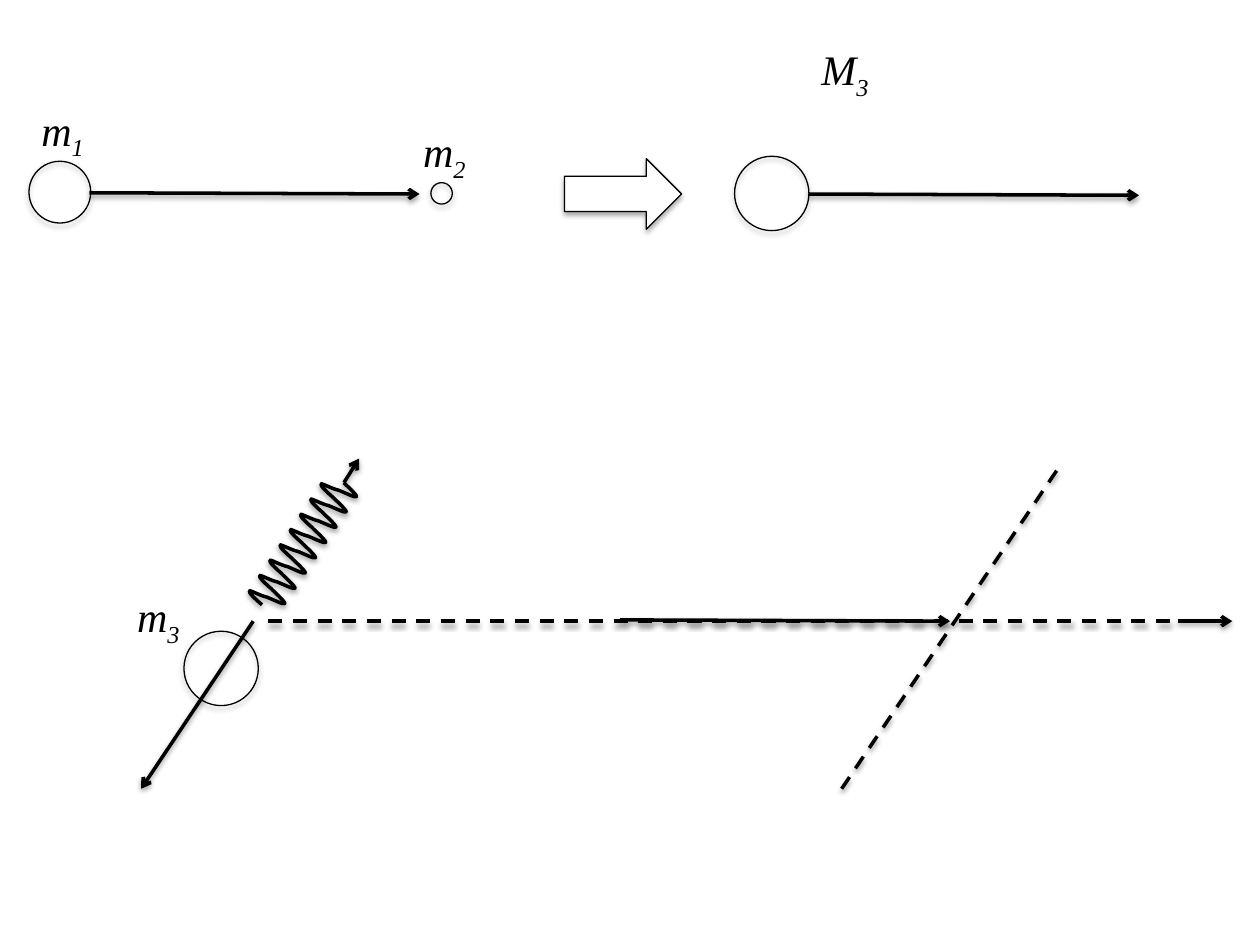
from lxml import etree
from pptx import Presentation
from pptx.dml.color import RGBColor
from pptx.enum.dml import MSO_LINE
from pptx.enum.shapes import MSO_CONNECTOR, MSO_SHAPE
from pptx.enum.text import MSO_AUTO_SIZE
from pptx.oxml import parse_xml
from pptx.oxml.ns import qn
from pptx.util import Inches, Pt

OVAL, BLOCK_ARROW = MSO_SHAPE.OVAL, MSO_SHAPE.RIGHT_ARROW
STRAIGHT, DASH = MSO_CONNECTOR.STRAIGHT, MSO_LINE.DASH
GROW = MSO_AUTO_SIZE.SHAPE_TO_FIT_TEXT
FONT, BLACK, WHITE = "Times New Roman", "000000", "FFFFFF"
NS = "http://schemas.openxmlformats.org/drawingml/2006/main"

# One coil turn: cubic curves, three points each, measured from its start
COIL_POINTS = [
    (-0.06, -0.05), (-0.11, -0.10), (-0.10, -0.11),
    (-0.10, -0.12), (-0.01, -0.07), (0.04, -0.06),
    (0.09, -0.04), (0.17, 0.00), (0.18, -0.01),
    (0.19, -0.02), (0.08, -0.12), (0.08, -0.12),
]
COIL_TURNS = 8


def color(value):
    return RGBColor.from_string(value)


def add_shadow(shape, alpha, dist):
    shape._element.spPr.append(parse_xml(
        f'<a:effectLst xmlns:a="{NS}"><a:outerShdw blurRad="{Pt(3.1)}" '
        f'dist="{Pt(dist)}" dir="5400000" rotWithShape="0">'
        f'<a:srgbClr val="{BLACK}"><a:alpha val="{alpha}000"/></a:srgbClr>'
        '</a:outerShdw></a:effectLst>'))


def style_line(shape, width):
    shape.line.color.rgb = color(BLACK)
    shape.line.width = Pt(width)


def add_outline(s, kind, x, y, w, h, fill=None):
    sp = s.shapes.add_shape(kind, Inches(x), Inches(y), Inches(w), Inches(h))
    if fill:
        sp.fill.solid()
        sp.fill.fore_color.rgb = color(fill)
    else:
        sp.fill.background()
    style_line(sp, 0.75)
    add_shadow(sp, 35, 1.8)


def add_circle(s, x, y, d):
    add_outline(s, OVAL, x, y, d, d)


def add_line(s, x1, y1, x2, y2, dashed=False, arrow=True):
    c = s.shapes.add_connector(STRAIGHT, Inches(x1), Inches(y1),
                               Inches(x2), Inches(y2))
    style_line(c, 2)
    if dashed:
        c.line.dash_style = DASH
    if arrow:
        ln = c.line._get_or_add_ln()
        etree.SubElement(ln, qn("a:tailEnd"), type="arrow")
    add_shadow(c, 38, 1.6)


def add_label(s, x, y, symbol, index):
    tb = s.shapes.add_textbox(Inches(x), Inches(y), Inches(0.66), Inches(0.5))
    tf = tb.text_frame
    tf.word_wrap = True
    tf.auto_size = GROW
    p = tf.paragraphs[0]
    for text, baseline in ((symbol, None), (index, "-25000")):
        r = p.add_run()
        r.text = text
        r.font.name, r.font.size, r.font.italic = FONT, Pt(24), True
        r.font.color.rgb = color(BLACK)
        if baseline:
            r._r.get_or_add_rPr().set("baseline", baseline)


def curve_segments(sp):
    """Join each three straight segments into one cubic curve."""
    segments = list(sp._element.iter(qn("a:lnTo")))
    outline = segments[0].getparent()
    for i in range(0, len(segments), 3):
        curve = etree.SubElement(outline, qn("a:cubicBezTo"))
        for segment in segments[i:i + 3]:
            curve.append(segment[0])
            outline.remove(segment)


def add_coil(s, x1, y1, x2, y2):
    """Wavy line of equal turns between two points."""
    group = s.shapes.add_group_shape()
    dx, dy = (x2 - x1) / COIL_TURNS, (y2 - y1) / COIL_TURNS
    for turn in range(COIL_TURNS):
        x, y = x1 + turn * dx, y1 + turn * dy
        fb = group.shapes.build_freeform(Inches(x), Inches(y))
        fb.add_line_segments([(Inches(x + px), Inches(y + py))
                              for px, py in COIL_POINTS], close=False)
        sp = fb.convert_to_shape()
        curve_segments(sp)
        sp.fill.background()
        style_line(sp, 2)
        add_shadow(sp, 38, 1.6)


def add_merger(s, x, y):
    """Two masses become one."""
    # Before
    add_circle(s, x, y + 0.5, 0.49)
    add_line(s, x + 0.48, y + 0.75, x + 3.1, y + 0.76)
    add_circle(s, x + 3.19, y + 0.67, 0.17)
    add_label(s, x, y, "m", "1")
    add_label(s, x + 3.03, y + 0.17, "m", "2")
    # After
    add_outline(s, BLOCK_ARROW, x + 4.25, y + 0.48, 0.93, 0.56, WHITE)
    add_circle(s, x + 5.6, y + 0.46, 0.59)
    add_line(s, x + 6.19, y + 0.76, x + 8.81, y + 0.77)
    add_label(s, x + 6.19, y - 0.48, "M", "3")


def add_emission(s, x, y):
    """Mass recoiling from a wave, with the axes of motion."""
    # Wave
    add_coil(s, x + 1.09, y + 1.16, x + 1.74, y + 0.19)
    add_line(s, x + 1.74, y + 0.19, x + 1.86, y)
    # Axes
    add_line(s, x + 1.14, y + 1.29, x + 8.36, y + 1.29, dashed=True, arrow=False)
    add_line(s, x + 8.36, y + 1.29, x + 8.79, y + 1.29)
    add_line(s, x + 5.69, y + 2.62, x + 7.42, y + 0.06, dashed=True, arrow=False)
    add_line(s, x + 3.93, y + 1.28, x + 6.55, y + 1.29)
    # Recoiling mass
    add_label(s, x, y + 1.0, "m", "3")
    add_circle(s, x + 0.47, y + 1.37, 0.59)
    add_line(s, x + 1.02, y + 1.29, x + 0.13, y + 2.62)


prs = Presentation()
prs.slide_width, prs.slide_height = Inches(10), Inches(7.5)
s = prs.slides.add_slide(prs.slide_layouts[6])
add_merger(s, 0.23, 0.78)
add_emission(s, 0.99, 3.64)
prs.save("out.pptx")
